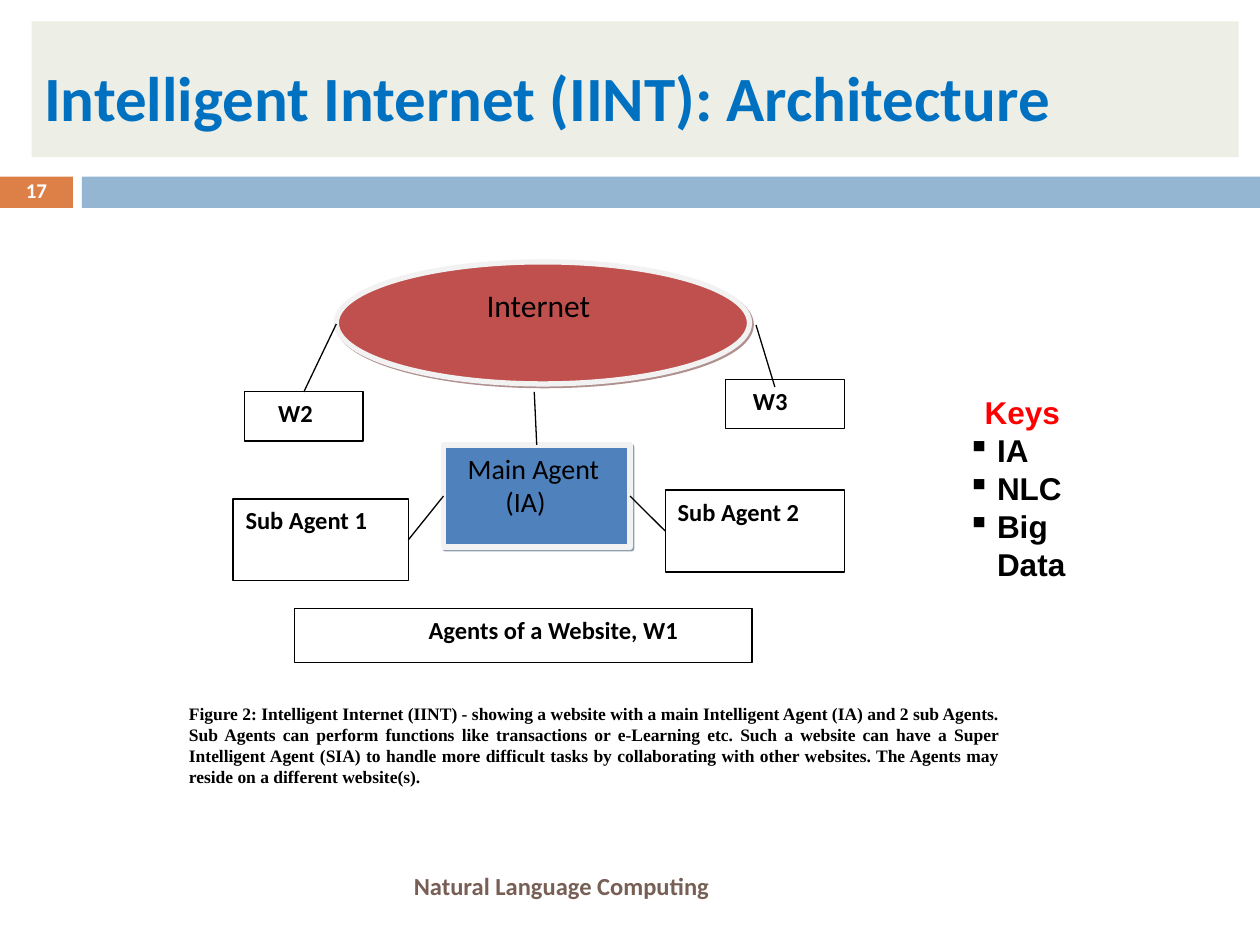
from dataclasses import dataclass

from lxml import etree
from pptx import Presentation
from pptx.dml.color import RGBColor
from pptx.enum.shapes import MSO_CONNECTOR, MSO_SHAPE
from pptx.enum.text import MSO_ANCHOR, MSO_AUTO_SIZE, PP_ALIGN
from pptx.oxml.ns import qn
from pptx.util import Cm, Pt

RECTANGLE, ELLIPSE = MSO_SHAPE.RECTANGLE, MSO_SHAPE.OVAL
STRAIGHT = MSO_CONNECTOR.STRAIGHT
TOP, MIDDLE = MSO_ANCHOR.TOP, MSO_ANCHOR.MIDDLE
LEFT, CENTER, JUSTIFY = PP_ALIGN.LEFT, PP_ALIGN.CENTER, PP_ALIGN.JUSTIFY
SIDE_TOP, SIDE_LEFT, SIDE_RIGHT = 0, 1, 3
TITLE_ONLY = 5


@dataclass(frozen=True)
class Theme:
    black: str = "000000"
    white: str = "FFFFFF"
    title: str = "0070C0"
    title_fill: str = "EDEEE6"
    number_bar: str = "DD8047"
    band: str = "94B6D2"
    footer: str = "775F55"
    keys: str = "FF0000"
    internet: str = "C0504D"
    internet_shadow: str = "622423"
    agent: str = "4F81BD"
    agent_shadow: str = "243F60"
    frame: str = "F2F2F2"
    body_font: str = "Calibri"
    caption_font: str = "Times New Roman"
    keys_font: str = "Arial"
    title_size: int = 36
    large: int = 18
    agent_size: int = 16
    label: int = 14
    number: int = 12
    caption: int = 10


THEME = Theme()


def write(paragraph, text, *, size, font=THEME.body_font, color=THEME.black,
          bold=True, align=LEFT, indent=0, bullet=None, line_spacing=None):
    """Fill a paragraph; indent is the left margin in centimetres."""
    properties = paragraph._p.get_or_add_pPr()
    properties.set("marL", str(Cm(indent)))
    properties.set("indent", str(-Cm(indent) if bullet else 0))
    if bullet:
        bullet_color = etree.SubElement(properties, qn("a:buClr"))
        etree.SubElement(bullet_color, qn("a:srgbClr"), val=color)
        etree.SubElement(properties, qn("a:buChar"), char=bullet)
    paragraph.alignment = align
    if line_spacing:
        paragraph.line_spacing = line_spacing
    run = paragraph.add_run()
    run.text = text
    run.font.name = font
    run.font.size = Pt(size)
    run.font.bold = bold
    run.font.color.rgb = RGBColor.from_string(color)


class SlideBuilder:
    def __init__(self, presentation, theme):
        self.theme = theme
        self.slide = presentation.slides.add_slide(
            presentation.slide_layouts[TITLE_ONLY])

    def frame(self, shape, anchor=TOP, insets=(0.25, 0.13, 0.25, 0.13)):
        frame = shape.text_frame
        frame.word_wrap = True
        frame.auto_size = MSO_AUTO_SIZE.NONE
        frame.vertical_anchor = anchor
        (frame.margin_left, frame.margin_top,
         frame.margin_right, frame.margin_bottom) = map(Cm, insets)
        return frame

    def title(self, text, box):
        shape = self.slide.shapes.title
        shape.left, shape.top, shape.width, shape.height = map(Cm, box)
        shape.fill.solid()
        shape.fill.fore_color.rgb = RGBColor.from_string(self.theme.title_fill)
        frame = self.frame(shape, MIDDLE, (0.25, 0.4, 0.25, 0.13))
        write(frame.paragraphs[0], text, size=self.theme.title_size,
              color=self.theme.title)

    def shape(self, box, fill, kind=RECTANGLE, line=None, line_width=0.75,
              shadow=None):
        shape = self.slide.shapes.add_shape(kind, *map(Cm, box))
        shape.shadow.inherit = False
        shape.fill.solid()
        shape.fill.fore_color.rgb = RGBColor.from_string(fill)
        if line:
            shape.line.color.rgb = RGBColor.from_string(line)
            shape.line.width = Pt(line_width)
        else:
            shape.line.fill.background()
        if shadow:
            effects = shape._element.spPr.find(qn("a:effectLst"))
            outer = etree.SubElement(effects, qn("a:outerShdw"), algn="ctr",
                                     dist=str(Cm(0.05)), dir="2700000",
                                     rotWithShape="0")
            color = etree.SubElement(outer, qn("a:srgbClr"), val=shadow)
            etree.SubElement(color, qn("a:alpha"), val="50000")
        self.frame(shape)
        return shape

    def label_box(self, text, box, indent=0):
        shape = self.shape(box, self.theme.white, line=self.theme.black)
        write(shape.text_frame.paragraphs[0], text, size=self.theme.label,
              indent=indent)
        return shape

    def text_box(self, box, anchor=TOP, **frame_format):
        shape = self.slide.shapes.add_textbox(*map(Cm, box))
        return self.frame(shape, anchor, **frame_format)

    def line(self, start, end):
        """Each end is a point in centimetres or a (shape, side) pair."""
        joined = [not isinstance(point[0], (int, float)) for point in (start, end)]
        first = (0, 0) if joined[0] else start
        last = (0, 0) if joined[1] else end
        connector = self.slide.shapes.add_connector(
            STRAIGHT, *map(Cm, (*first, *last)))
        if joined[0]:
            connector.begin_connect(*start)
        if joined[1]:
            connector.end_connect(*end)
        connector.line.color.rgb = RGBColor.from_string(self.theme.black)
        connector.line.width = Pt(0.75)
        etree.SubElement(connector._element.spPr, qn("a:effectLst"))


def main():
    presentation = Presentation()
    presentation.slide_width, presentation.slide_height = Cm(25.4), Cm(19.05)
    theme = THEME
    builder = SlideBuilder(presentation, theme)

    # Title and the band with the slide number
    builder.shape((0, 3.56, 1.47, 0.63), theme.number_bar)
    builder.shape((1.65, 3.56, 23.75, 0.63), theme.band)
    builder.title("Intelligent Internet (IINT): Architecture",
                  (0.64, 0.43, 24.33, 2.74))
    number = builder.text_box((0, 3.53, 1.47, 0.69), MIDDLE)
    write(number.paragraphs[0], "17", size=theme.number, color=theme.white,
          align=CENTER, line_spacing=0.8)

    # Internet and main agent
    internet = builder.shape((6.78, 5.28, 8.33, 2.46), theme.internet, ELLIPSE,
                             theme.frame, 3, theme.internet_shadow)
    write(internet.text_frame.paragraphs[0], "Internet", size=theme.large,
          bold=False, indent=1.56)
    agent = builder.shape((8.94, 8.97, 3.76, 2.06), theme.agent, RECTANGLE,
                          theme.frame, 3, theme.agent_shadow)
    agent_text = agent.text_frame
    write(agent_text.paragraphs[0], "Main Agent", size=theme.agent_size,
          bold=False, indent=0.24)
    write(agent_text.add_paragraph(), "(IA)", size=theme.agent_size,
          bold=False, indent=1)

    # Sub agents and websites
    sub_agent_1 = builder.label_box("Sub Agent 1", (4.7, 10.06, 3.53, 1.65))
    sub_agent_2 = builder.label_box("Sub Agent 2", (13.41, 9.88, 3.61, 1.65))
    builder.label_box("Agents of a Website, W1", (5.94, 12.27, 9.22, 1.09), 2.45)
    website_2 = builder.label_box("W2", (4.93, 7.9, 2.39, 0.99), 0.43)
    builder.label_box("W3", (14.63, 7.65, 2.39, 0.99), 0.3)

    # Links
    builder.line((sub_agent_1, SIDE_RIGHT), (agent, SIDE_LEFT))
    builder.line((sub_agent_2, SIDE_LEFT), (agent, SIDE_RIGHT))
    builder.line((agent, SIDE_TOP), (10.77, 7.9))
    builder.line((website_2, SIDE_TOP), (6.78, 6.53))
    builder.line((15.62, 7.8), (15.24, 6.55))

    # Caption
    caption = builder.text_box((3.81, 14.17, 16.31, 1.7), insets=(0, 0, 0, 0))
    write(caption.paragraphs[0],
          "Figure 2: Intelligent Internet (IINT) - showing a website with a main "
          "Intelligent Agent (IA) and 2 sub Agents. Sub Agents can perform "
          "functions like transactions or e-Learning etc. Such a website can have "
          "a Super Intelligent Agent (SIA) to handle more difficult tasks by "
          "collaborating with other websites. The Agents may reside on a "
          "different website(s).",
          size=theme.caption, font=theme.caption_font, align=JUSTIFY)

    # Footer
    footer = builder.text_box((2.11, 17.35, 18.42, 1.02), MIDDLE)
    write(footer.paragraphs[0], "Natural Language Computing", size=theme.label,
          color=theme.footer, align=CENTER)

    # Keys
    keys = builder.text_box((19.25, 7.8, 2.74, 4.06))
    write(keys.paragraphs[0], "Keys", size=theme.large, font=theme.keys_font,
          color=theme.keys, indent=0.35)
    for key in ("IA", "NLC", "Big Data"):
        write(keys.add_paragraph(), key, size=theme.large, font=theme.keys_font,
              indent=0.6, bullet="▪")

    presentation.save("out.pptx")


if __name__ == "__main__":
    main()
